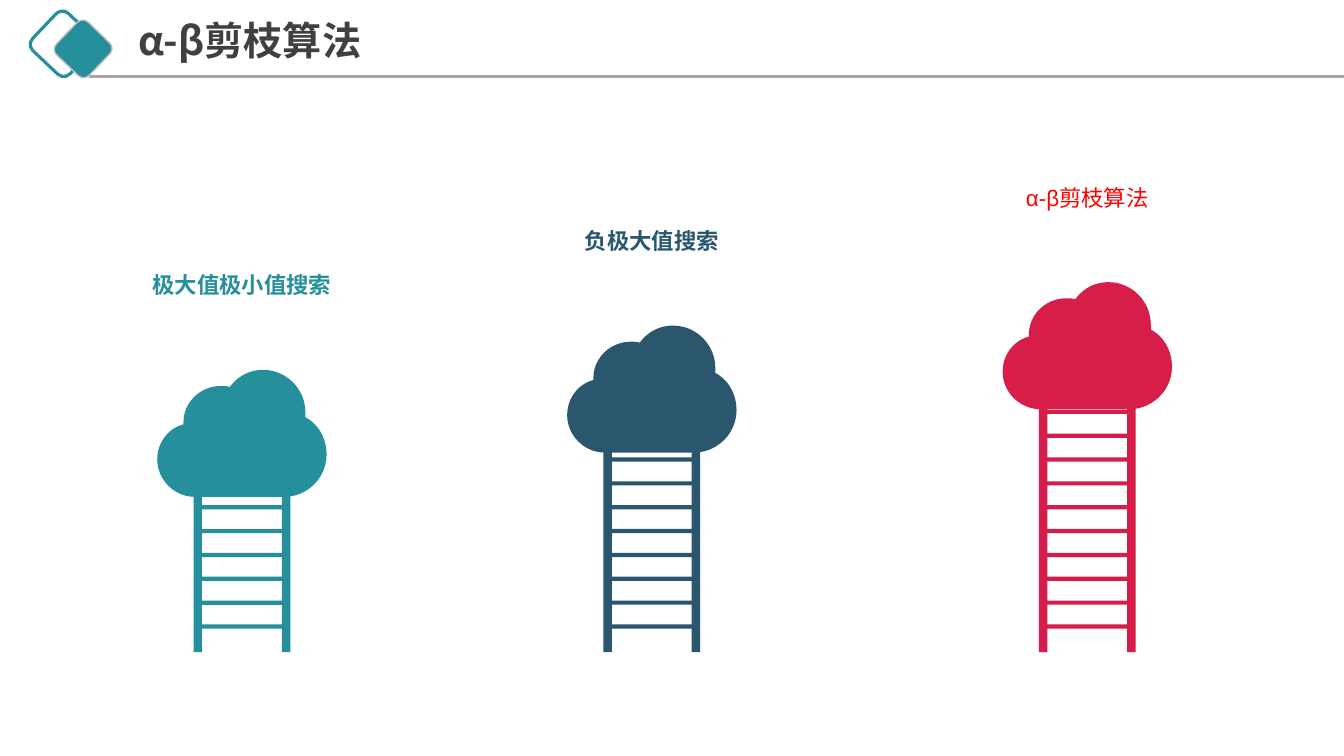
from pptx import Presentation
from pptx import util as u
from pptx.dml.color import RGBColor
from pptx.enum import shapes, text
from pptx.oxml.ns import qn
from lxml import etree

THEME = {
    "teal": "268F9C", "navy": "2A566E", "crimson": "D71D49", "red": "FF0000",
    "ink": "404040", "rule": "A6A6A6", "edge": "BFBFBF",
    "latin": "Arial", "cjk": "Noto Sans CJK SC", "title": 28, "label": 16,
}
W, H = u.Inches(13.33), u.Inches(7.5)
COL, ROW = W / 100, H / 100

prs = Presentation()
prs.slide_width, prs.slide_height = W, H
s = prs.slides.add_slide(prs.slide_layouts[6])


def add_text(words, x, y, w, h, *, size, color, font, bold=False, wrap=False,
             align=text.PP_ALIGN.LEFT, inset=(0.1, 0.05), spacing=None):
    tf = s.shapes.add_textbox(int(x), int(y), int(w), int(h)).text_frame
    tf.word_wrap = wrap
    tf.margin_left = tf.margin_right = u.Inches(inset[0])
    tf.margin_top = tf.margin_bottom = u.Inches(inset[1])
    p = tf.paragraphs[0]
    p.alignment, p.line_spacing = align, spacing
    r = p.add_run()
    r.text = words
    r.font.size, r.font.bold, r.font.name = u.Pt(size), bold, font
    r.font.color.rgb = RGBColor.from_string(color)
    ea = etree.SubElement(r.font._element, qn("a:ea"))
    ea.set("typeface", THEME["cjk"])


def add_outline(contours, color):
    fb = s.shapes.build_freeform(*contours[0][0], scale=1.0)
    for i, points in enumerate(contours):
        if i:
            fb.move_to(*points[0])
        fb.add_line_segments(points[1:], close=True)
    sp = fb.convert_to_shape()
    sp.shadow.inherit = False
    sp.fill.solid()
    sp.fill.fore_color.rgb = RGBColor.from_string(color)
    sp.line.fill.background()


# Header rule
rule_y = int(10.13 * ROW)
rule = s.shapes.add_connector(shapes.MSO_CONNECTOR.STRAIGHT, int(6.6 * COL), rule_y, W, rule_y)
rule.line.width = u.Pt(2.25)
rule.line.color.rgb = RGBColor.from_string(THEME["rule"])
etree.SubElement(rule._element.spPr, qn("a:effectLst"))

# Header diamonds: left, top, side, rotation, fill, line, line width
for x, y, side, turn, fill, line, width in (
    (2.78, 2.4, 6.8, 43.4, None, "teal", 2.25),
    (4.5, 3.47, 6, 43.9, "teal", "edge", 1),
):
    sp = s.shapes.add_shape(shapes.MSO_SHAPE.ROUNDED_RECTANGLE, int(x * COL), int(y * ROW),
                            int(side * ROW), int(side * ROW))
    sp.shadow.inherit = False
    sp.rotation = turn
    if fill:
        sp.fill.solid()
        sp.fill.fore_color.rgb = RGBColor.from_string(THEME[fill])
    else:
        sp.fill.background()
    sp.line.width = u.Pt(width)
    sp.line.color.rgb = RGBColor.from_string(THEME[line])

add_text("α-β剪枝算法", 9.53 * COL, 2.27 * ROW, 42.8 * COL, 7.87 * ROW, size=THEME["title"],
         color=THEME["ink"], font=THEME["cjk"], bold=True, wrap=True, spacing=0.9)

# Cloud outline in inches: start point, then Bezier curves (a lone point is a straight side)
CLOUD_W = 1.68
CLOUD_START = (1.47, 0.47)
CLOUD = (
    ((1.47, 0.46), (1.47, 0.44), (1.47, 0.42)),
    ((1.47, 0.19), (1.28, 0), (1.05, 0)),
    ((0.92, 0), (0.8, 0.06), (0.72, 0.17)),
    ((0.69, 0.16), (0.67, 0.16), (0.63, 0.16)),
    ((0.43, 0.16), (0.26, 0.32), (0.26, 0.52)),
    ((0.26, 0.53), (0.26, 0.53), (0.26, 0.54)),
    ((0.11, 0.58), (0, 0.72), (0, 0.89)),
    ((0, 1.09), (0.17, 1.26), (0.37, 1.26)),
    ((1.26, 1.26),),
    ((1.49, 1.26), (1.68, 1.07), (1.68, 0.84)),
    ((1.68, 0.68), (1.6, 0.54), (1.47, 0.47)),
)
STEPS = 12
cloud = [CLOUD_START]
for curve in CLOUD:
    if len(curve) == 1:
        cloud += curve
        continue
    a, (b, c, d) = cloud[-1], curve
    for k in range(1, STEPS + 1):
        t = k / STEPS
        cloud.append(tuple((1 - t) ** 3 * a[i] + 3 * t * (1 - t) ** 2 * b[i]
                           + 3 * t * t * (1 - t) * c[i] + t ** 3 * d[i] for i in (0, 1)))

# Ladder grid: gaps between rungs repeat upwards from the lowest one
FOOT, GAP_TOP, GAP_H, PITCH = 86.27 * ROW, 80 * ROW, 2.6 * ROW, 28.4 / 9 * ROW
OUTER, INNER = 3.6 * COL, 2.97 * COL

# Three ladders: centre column, cloud row, number of gaps, label
for col, row, gaps, color, words, label_color, bold in (
    (18, 48.93, 5, "teal", "极大值极小值搜索", "teal", True),
    (48.5, 43.07, 7, "navy", "负极大值搜索", "navy", True),
    (80.9, 37.33, 9, "crimson", "α-β剪枝算法", "red", False),
):
    cx, cloud_y = col * COL, row * ROW
    x0, x1, x2, x3 = cx - OUTER, cx - INNER, cx + INNER, cx + OUTER

    # Rails and rungs
    top = GAP_TOP + GAP_H - (gaps + 1) * PITCH
    first_rung, last_rung = top + PITCH, GAP_TOP + PITCH
    contours = [[(x0, top), (x1, top), (x1, first_rung), (x2, first_rung), (x2, top), (x3, top),
                 (x3, FOOT), (x2, FOOT), (x2, last_rung), (x1, last_rung), (x1, FOOT), (x0, FOOT)]]
    for k in range(gaps):
        y = GAP_TOP - k * PITCH
        contours.append([(x1, y), (x1, y + GAP_H), (x2, y + GAP_H), (x2, y)])
    add_outline(contours, THEME[color])

    # Cloud
    left = cx - u.Inches(CLOUD_W) / 2
    add_outline([[(left + u.Inches(x), cloud_y + u.Inches(y)) for x, y in cloud]], THEME[color])

    # Label
    add_text(words, cx - 9.25 * COL, cloud_y - 13 * ROW, 18.5 * COL, 3.6 * ROW,
             size=THEME["label"], color=THEME[label_color], font=THEME["latin"], bold=bold,
             align=text.PP_ALIGN.CENTER, inset=(0.16, 0))

prs.save("out.pptx")
